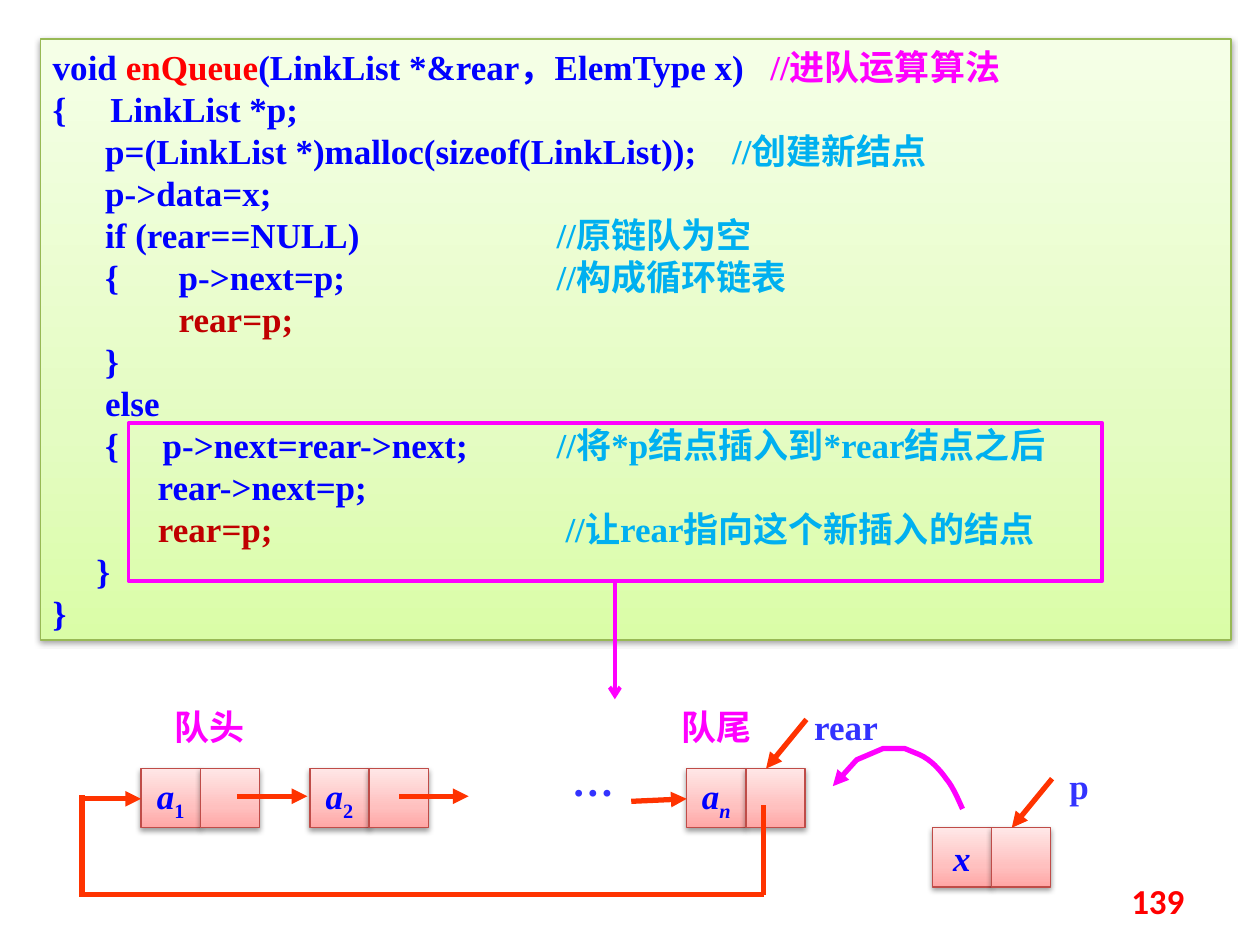
from copy import deepcopy
from lxml import etree
from pptx import Presentation
from pptx.dml.color import RGBColor
from pptx.enum.shapes import MSO_CONNECTOR, MSO_SHAPE
from pptx.enum.text import MSO_ANCHOR, PP_ALIGN
from pptx.oxml.ns import qn
from pptx.util import Inches, Pt

RECTANGLE, STRAIGHT = MSO_SHAPE.RECTANGLE, MSO_CONNECTOR.STRAIGHT
LEFT, CENTER, RIGHT = PP_ALIGN.LEFT, PP_ALIGN.CENTER, PP_ALIGN.RIGHT
TOP, MIDDLE = MSO_ANCHOR.TOP, MSO_ANCHOR.MIDDLE

THEME = {
    "code": "0000FF", "name": "FF0000", "heading": "FF00FF", "comment": "00B0F0",
    "key": "C00000", "label": "3333FF", "pointer": "FF3300", "focus": "FF00FF",
    "panel_fill": [(0, "DAFDA7"), (0.35, "E4FCC2"), (1, "F5FFE7")],
    "panel_line": "98B955",
    "node_fill": [(0, "FFA6A5"), (0.35, "FFC0BF"), (1, "FFE7E7")],
    "node_line": "BF4C48",
    "latin": "Times New Roman", "cjk": "Noto Sans CJK SC", "number": "Calibri",
    "size": 20, "dots_size": 24, "code_pitch": 24,
}

# One list per line of code; each part is (text, colour role).
CODE = [
    [("void ", "code"), ("enQueue", "name"),
     ("(LinkList *&rear，ElemType x)   ", "code"), ("//进队运算算法", "heading")],
    [("{     LinkList *p;", "code")],
    [("      p=(LinkList *)malloc(sizeof(LinkList));    ", "code"),
     ("//创建新结点", "comment")],
    [("      p->data=x;", "code")],
    [("      if (rear==NULL)\t\t", "code"), ("//原链队为空", "comment")],
    [("      {\tp->next=p;\t\t", "code"), ("//构成循环链表", "comment")],
    [("\t", "code"), ("rear=p;", "key")],
    [("      }", "code")],
    [("      else", "code")],
    [("      {     p->next=rear->next;\t", "code"),
     ("//将*p结点插入到*rear结点之后", "comment")],
    [("            rear->next=p;", "code")],
    [("            ", "code"), ("rear=p;\t\t\t ", "key"),
     ("//让rear指向这个新插入的结点", "comment")],
    [("     }", "code")],
    [("}", "code")],
]
TAB_STOPS = [1, 2, 3, 4]

CELL = 0.47
# left, top, letter, subscript, subscript is italic
NODES = [
    (1.12, 6.1, "a", "1", False),
    (2.46, 6.1, "a", "2", False),
    (5.45, 6.1, "a", "n", True),
    (7.4, 6.57, "x", "", False),
]
# text, box, colour role, font, size role
LABELS = [
    ("队头", (1.19, 5.55, 0.95, 0.43), "heading", "cjk", "size"),
    ("队尾", (5.21, 5.55, 0.95, 0.43), "heading", "cjk", "size"),
    ("rear", (6.28, 5.55, 0.87, 0.43), "label", "latin", "size"),
    ("p", (8.33, 6.02, 0.47, 0.43), "label", "latin", "size"),
    ("…", (4.27, 5.94, 0.87, 0.5), "label", "latin", "dots_size"),
]
NEXT_ARROWS = [
    ((1.88, 6.32), (2.44, 6.32)),
    ((3.17, 6.32), (3.72, 6.32)),
    ((5.01, 6.36), (5.45, 6.34)),
    ((0.65, 6.34), (1.12, 6.34)),
    ((6.4, 5.71), (6.08, 6.1)),
    ((8.35, 6.18), (8.03, 6.57)),
]
LOOP_LINES = [
    ((6.06, 6.39), (6.06, 7.1)),
    ((0.63, 7.1), (6.06, 7.1)),
    ((0.65, 6.31), (0.65, 7.11)),
]
INSERT_CURVES = [
    [(7.64, 6.42), (7.62, 6.38), (7.57, 6.25), (7.51, 6.18)],
    [(7.51, 6.18), (7.46, 6.11), (7.39, 6.03), (7.3, 5.99)],
]
INSERT_CORNERS = [(7.18, 5.94), (7.01, 5.94), (6.8, 6.03), (6.61, 6.24)]


def rgb(color):
    return RGBColor.from_string(color)


def write(paragraph, text, *, color=THEME["code"], font=THEME["latin"],
          size=THEME["size"], italic=False, baseline=0):
    run = paragraph.add_run()
    run.text = text
    run.font.name, run.font.size = font, Pt(size)
    run.font.bold, run.font.italic = True, italic
    run.font.color.rgb = rgb(color)
    properties = run._r.get_or_add_rPr()
    etree.SubElement(properties, qn("a:ea"), typeface=THEME["cjk"])
    if baseline:
        properties.set("baseline", str(baseline * 1000))


def set_line(shape, color, width, head=None):
    shape.line.color.rgb = rgb(color)
    shape.line.width = Pt(width)
    if head:
        etree.SubElement(shape.line._ln, qn("a:tailEnd"), type=head)


def add_box(slide, box, stops, color, width):
    """Rectangle with a vertical gradient and soft shadow, or hollow without stops."""
    shape = slide.shapes.add_shape(RECTANGLE, *map(Inches, box))
    shape.shadow.inherit = False
    set_line(shape, color, width)
    if not stops:
        shape.fill.background()
        return shape
    shape.fill.gradient()
    shape.fill.gradient_angle = 90
    properties = shape._element.spPr
    stop_list = properties.find(".//" + qn("a:gsLst"))
    stop_list.append(deepcopy(stop_list[0]))
    for stop, (position, stop_color) in zip(shape.fill.gradient_stops, stops):
        stop.position = position
        stop.color.rgb = rgb(stop_color)
    shadow = etree.SubElement(properties.find(qn("a:effectLst")), qn("a:outerShdw"),
                              blurRad="40000", dist="20000", dir="5400000",
                              rotWithShape="0")
    shade = etree.SubElement(shadow, qn("a:srgbClr"), val="000000")
    etree.SubElement(shade, qn("a:alpha"), val="38000")
    return shape


def first_paragraph(shape, align, anchor=TOP, wrap=True):
    frame = shape.text_frame
    frame.word_wrap, frame.vertical_anchor = wrap, anchor
    frame.paragraphs[0].alignment = align
    return frame.paragraphs[0]


def add_line(slide, start, end, color, width, head=None):
    line = slide.shapes.add_connector(STRAIGHT, *map(Inches, start + end))
    set_line(line, color, width, head)
    etree.SubElement(line._element.spPr, qn("a:effectLst"))


def add_code(slide):
    panel = add_box(slide, (0.32, 0.31, 9.45, 4.77), THEME["panel_fill"],
                    THEME["panel_line"], 0.75)
    paragraph = first_paragraph(panel, LEFT)
    for index, parts in enumerate(CODE):
        if index:
            paragraph = panel.text_frame.add_paragraph()
            paragraph.alignment = LEFT
        paragraph.line_spacing = Pt(THEME["code_pitch"])
        tabs = etree.SubElement(paragraph._p.get_or_add_pPr(), qn("a:tabLst"))
        for stop in TAB_STOPS:
            etree.SubElement(tabs, qn("a:tab"), pos=str(Inches(stop)), algn="l")
        for text, role in parts:
            write(paragraph, text, color=THEME[role])


def add_node(slide, left, top, letter, subscript, italic):
    data, _ = [add_box(slide, (left + i * CELL, top, CELL, CELL),
                       THEME["node_fill"], THEME["node_line"], 0.75) for i in range(2)]
    paragraph = first_paragraph(data, CENTER, MIDDLE, wrap=False)
    write(paragraph, letter, italic=True)
    if subscript:
        write(paragraph, subscript, italic=italic, baseline=-25)


def curve_points(controls, steps=8):
    """Points along a cubic Bezier curve, its start left out."""
    for t in (step / steps for step in range(1, steps + 1)):
        weights = ((1 - t) ** 3, 3 * t * (1 - t) ** 2, 3 * t * t * (1 - t), t ** 3)
        yield tuple(sum(w * c for w, c in zip(weights, axis)) for axis in zip(*controls))


def add_insert_arrow(slide):
    points = [p for curve in INSERT_CURVES for p in curve_points(curve)] + INSERT_CORNERS
    builder = slide.shapes.build_freeform(*map(Inches, INSERT_CURVES[0][0]))
    builder.add_line_segments([(Inches(x), Inches(y)) for x, y in points], close=False)
    arrow = builder.convert_to_shape()
    arrow.shadow.inherit = False
    arrow.fill.background()
    set_line(arrow, THEME["focus"], 3, "triangle")


def main():
    deck = Presentation()
    deck.slide_width, deck.slide_height = Inches(10), Inches(7.5)
    slide = deck.slides.add_slide(deck.slide_layouts[6])
    add_code(slide)
    for node in NODES:
        add_node(slide, *node)
    for text, box, role, font, size in LABELS:
        label = slide.shapes.add_textbox(*map(Inches, box))
        write(first_paragraph(label, CENTER), text, color=THEME[role],
              font=THEME[font], size=THEME[size])
    for lines, head in ((NEXT_ARROWS, "triangle"), (LOOP_LINES, None)):
        for start, end in lines:
            add_line(slide, start, end, THEME["pointer"], 3, head)
    add_insert_arrow(slide)
    add_box(slide, (1.02, 3.36, 7.73, 1.25), None, THEME["focus"], 2.25)
    add_line(slide, (4.88, 4.61), (4.88, 5.55), THEME["focus"], 2.25, "arrow")
    number = slide.shapes.add_textbox(*map(Inches, (7.17, 6.95, 2.33, 0.4)))
    write(first_paragraph(number, RIGHT, MIDDLE), "139", color=THEME["name"],
          font=THEME["number"])
    deck.save("out.pptx")


if __name__ == "__main__":
    main()
